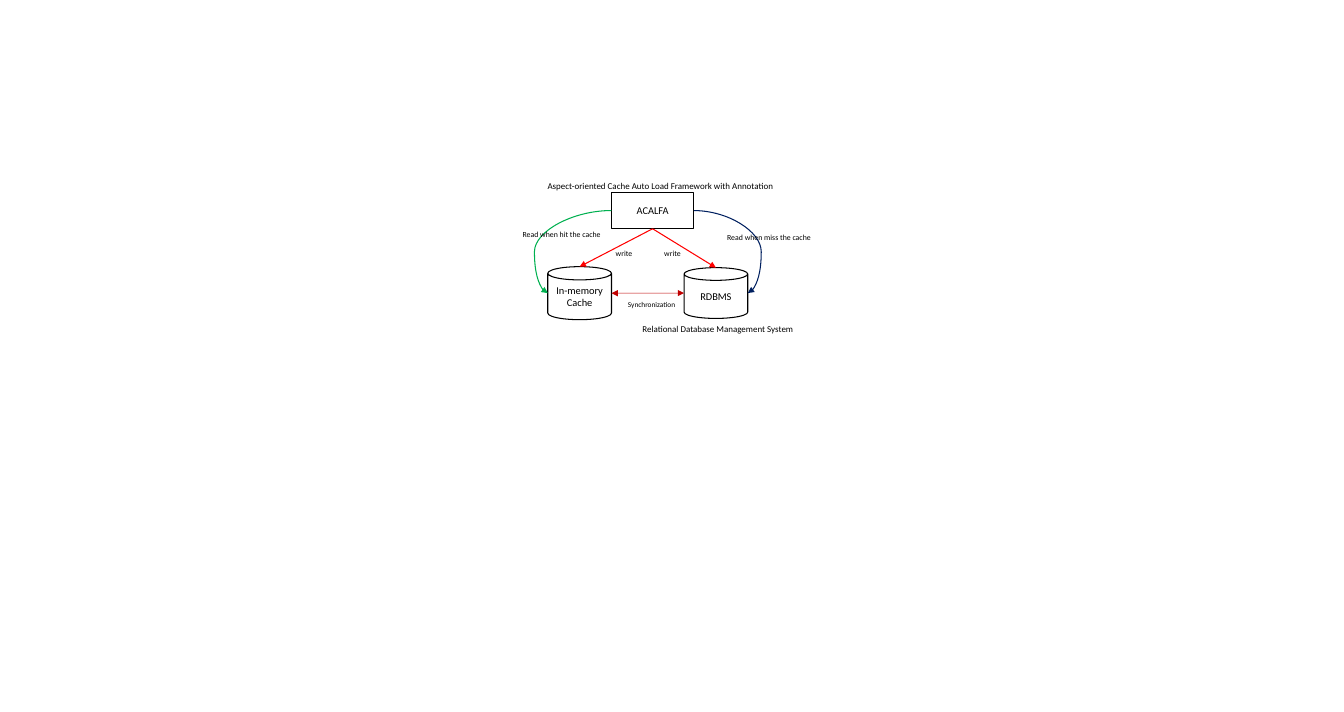
"""Build the ACALFA cache framework diagram slide."""
from dataclasses import dataclass

from lxml.etree import SubElement
from pptx import Presentation
from pptx.dml.color import RGBColor
from pptx.enum.shapes import MSO_CONNECTOR, MSO_SHAPE
from pptx.enum.text import MSO_ANCHOR, MSO_AUTO_SIZE, PP_ALIGN
from pptx.oxml.ns import qn
from pptx.slide import Slide
from pptx.text.text import TextFrame
from pptx.util import Emu, Inches, Pt

WIDTH, HEIGHT = Inches(17.74), Inches(9.4)


@dataclass(frozen=True)
class Theme:
    """Colours, type sizes and line widths."""
    font: str = "Calibri"
    ink: str = "000000"
    update: str = "FF0000"
    hit: str = "00B050"
    miss: str = "002060"
    mirror: str = "C00000"
    node: float = 9.9
    caption: float = 8.5
    action: float = 7.4
    small: float = 7
    line: float = 1
    thin: float = 0.5


@dataclass(frozen=True)
class Box:
    """Text in a frame measured in percent of the slide."""
    text: str
    left: float
    top: float
    width: float
    height: float
    size: float
    shape: MSO_SHAPE | None = None

    def point(self, across: float, down: float) -> tuple[Emu, Emu]:
        """Return a point at shares of the frame's width and height."""
        return (share(WIDTH, self.left + across * self.width),
                share(HEIGHT, self.top + down * self.height))


@dataclass(frozen=True)
class Arrow:
    """Link between two anchor points, ending in a triangle."""
    start: tuple[Emu, Emu]
    end: tuple[Emu, Emu]
    color: str
    width: float
    bend: float | None = None
    both: bool = False


def share(length: int, percent: float) -> Emu:
    """Return a percentage of a slide dimension."""
    return Emu(round(length * percent / 100))


def set_text(tf: TextFrame, box: Box) -> None:
    """Put the box's text into a frame."""
    p = tf.paragraphs[0]
    p.text = box.text
    p.font.name, p.font.size = THEME.font, Pt(box.size)
    p.font.color.rgb = RGBColor.from_string(THEME.ink)
    p.alignment = PP_ALIGN.CENTER if box.shape else PP_ALIGN.LEFT


def draw_box(s: Slide, box: Box) -> None:
    """Draw an outlined node, or a plain label when no shape is given."""
    frame = (*box.point(0, 0), share(WIDTH, box.width), share(HEIGHT, box.height))
    if box.shape:
        sp = s.shapes.add_shape(box.shape, *frame)
        sp.shadow.inherit = False
        sp.fill.background()
        sp.line.color.rgb = RGBColor.from_string(THEME.ink)
        sp.line.width = Pt(THEME.line)
        sp.text_frame.vertical_anchor = MSO_ANCHOR.MIDDLE
    else:
        sp = s.shapes.add_textbox(*frame)
        sp.text_frame.auto_size = MSO_AUTO_SIZE.SHAPE_TO_FIT_TEXT
    sp.text_frame.word_wrap = bool(box.shape)
    set_text(sp.text_frame, box)


def draw_arrow(s: Slide, arrow: Arrow) -> None:
    """Draw a straight or curved connector with arrowheads."""
    kind = MSO_CONNECTOR.STRAIGHT if arrow.bend is None else MSO_CONNECTOR.CURVE
    link = s.shapes.add_connector(kind, *arrow.start, *arrow.end)
    link.line.color.rgb = RGBColor.from_string(arrow.color)
    link.line.width = Pt(arrow.width)
    props = link._element.spPr
    ln = props.find(qn("a:ln"))
    for tag in ("a:headEnd", "a:tailEnd") if arrow.both else ("a:tailEnd",):
        SubElement(ln, qn(tag), type="triangle")
    SubElement(props, qn("a:effectLst"))
    if arrow.bend is not None:
        guides = props.find(qn("a:prstGeom")).find(qn("a:avLst"))
        SubElement(guides, qn("a:gd"), name="adj1",
                   fmla=f"val {round(arrow.bend * 100000)}")


THEME = Theme()
TOP, BOTTOM, LEFT, RIGHT = (0.5, 0), (0.5, 1), (0, 0.5), (1, 0.5)

ACALFA = Box("ACALFA", 45.49, 27.02, 6.14, 5.11, THEME.node, MSO_SHAPE.RECTANGLE)
CACHE = Box("In-memory Cache", 40.76, 37.45, 4.74, 7.45, THEME.node, MSO_SHAPE.CAN)
RDBMS = Box("RDBMS", 50.9, 37.6, 4.74, 7.13, THEME.node, MSO_SHAPE.CAN)

LABELS = [
    Box("Aspect-oriented Cache Auto Load Framework with Annotation",
        40.19, 24.89, 18.15, 2.55, THEME.caption),
    Box("Relational Database Management System",
        47.24, 44.89, 12.51, 2.55, THEME.caption),
    Box("Read when hit the cache", 38.33, 31.7, 6.93, 2.45, THEME.action),
    Box("Read when miss the cache", 53.55, 32.13, 7.38, 2.45, THEME.action),
    *(Box("write", left, 34.36, 2.37, 2.45, THEME.action) for left in (45.26, 48.87)),
    Box("Synchronization", 46.17, 41.6, 4.79, 2.34, THEME.small),
]

ARROWS = [
    *(Arrow(ACALFA.point(*BOTTOM), store.point(*TOP), THEME.update, THEME.line)
      for store in (CACHE, RDBMS)),
    Arrow(ACALFA.point(*LEFT), CACHE.point(*LEFT), THEME.hit, THEME.line, bend=1.21),
    Arrow(ACALFA.point(*RIGHT), RDBMS.point(*RIGHT), THEME.miss, THEME.line, bend=1.25),
    Arrow(CACHE.point(*RIGHT), RDBMS.point(*LEFT), THEME.mirror, THEME.thin, both=True),
]


def main() -> None:
    """Assemble and save the slide."""
    prs = Presentation()
    prs.slide_width, prs.slide_height = WIDTH, HEIGHT
    s = prs.slides.add_slide(prs.slide_layouts.get_by_name("Blank"))
    for box in (ACALFA, CACHE, RDBMS):
        draw_box(s, box)
    for arrow in ARROWS:
        draw_arrow(s, arrow)
    for label in LABELS:
        draw_box(s, label)
    prs.save("out.pptx")


main()
